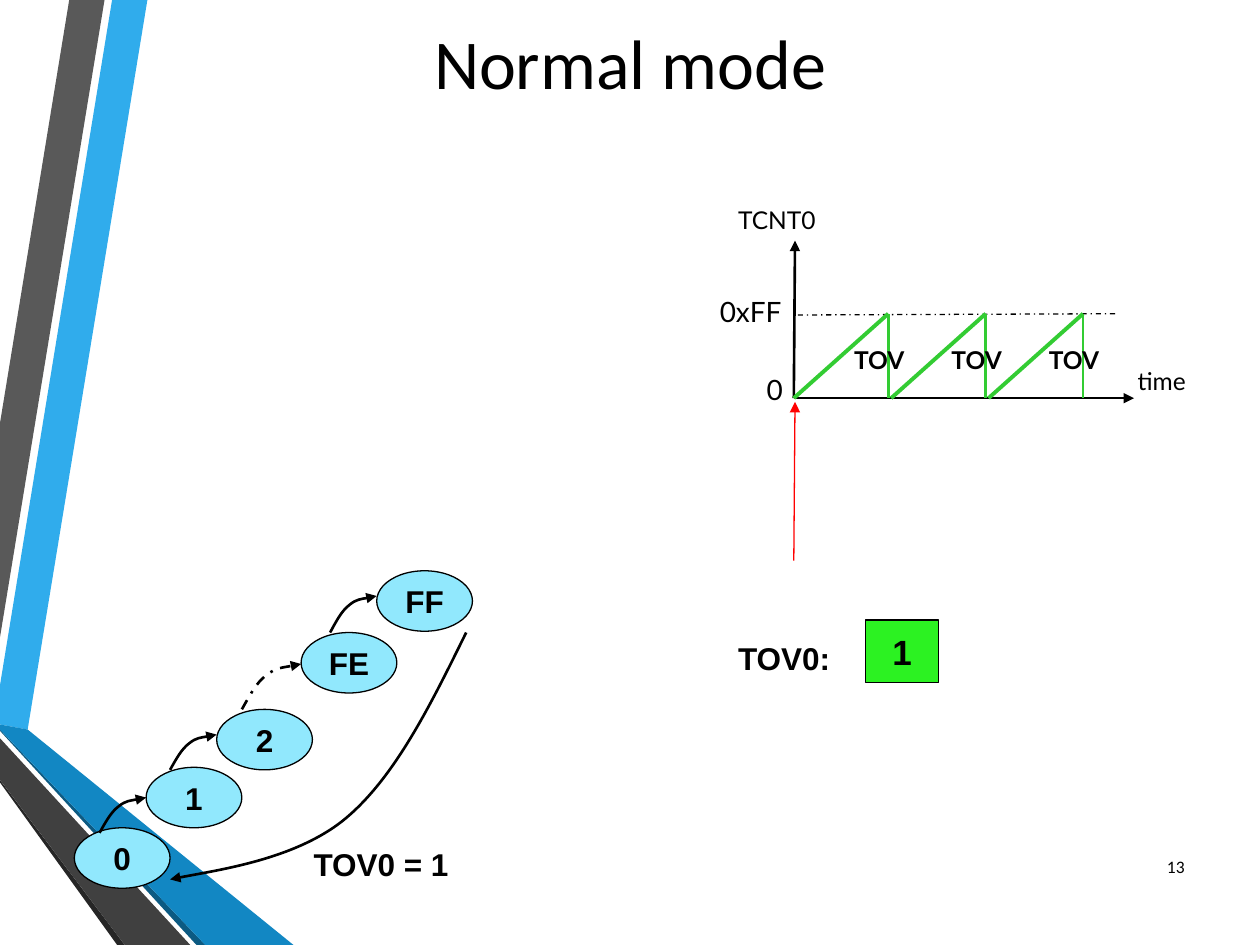
from lxml.etree import SubElement
from pptx import Presentation
from pptx.dml.color import RGBColor
from pptx.enum.dml import MSO_LINE
from pptx.enum.shapes import MSO_CONNECTOR, MSO_SHAPE
from pptx.enum.text import MSO_ANCHOR, PP_ALIGN
from pptx.oxml.ns import qn
from pptx.util import Inches, Pt

BLACK, GREEN, RED = "000000", "33CC33", "FF0000"
LEFT, MID, RIGHT = PP_ALIGN.LEFT, PP_ALIGN.CENTER, PP_ALIGN.RIGHT


def cell(n):
    """Length of n grid columns or rows; the slide has 100 by 75."""
    return Inches(n / 10)


def color(code):
    return RGBColor.from_string(code)


class Sheet:
    def __init__(self, slide):
        self.shapes = slide.shapes

    def letter(self, shape, text, size, font, bold, align, anchor):
        frame = shape.text_frame
        frame.vertical_anchor = anchor
        par = frame.paragraphs[0]
        par.text, par.alignment = text, align
        par.font.size, par.font.name, par.font.bold = Pt(size), font, bold
        par.font.color.rgb = color(BLACK)
        return frame

    def label(self, box, text, size, font="Lato", bold=False, align=LEFT,
              anchor=MSO_ANCHOR.TOP):
        shape = self.shapes.add_textbox(*map(cell, box))
        frame = self.letter(shape, text, size, font, bold, align, anchor)
        frame.word_wrap = True

    def block(self, kind, box, text, size, fill):
        shape = self.shapes.add_shape(kind, *map(cell, box))
        shape.shadow.inherit = False
        shape.fill.solid()
        shape.fill.fore_color.rgb = color(fill)
        self.stroke(shape, BLACK, 0.75)
        frame = self.letter(shape, text, size, "Arial", True, MID,
                            MSO_ANCHOR.MIDDLE)
        frame.word_wrap = False

    def stroke(self, shape, code, width, dash=False, arrow=False):
        shape.line.color.rgb = color(code)
        shape.line.width = Pt(width)
        if dash:
            shape.line.dash_style = MSO_LINE.DASH_DOT
        if arrow:
            ln = shape.element.spPr.find(qn("a:ln"))
            SubElement(ln, qn("a:tailEnd"), type="triangle")

    def line(self, start, end, code=BLACK, width=1.5, **style):
        link = self.shapes.add_connector(
            MSO_CONNECTOR.STRAIGHT, *map(cell, start + end))
        self.stroke(link, code, width, **style)
        SubElement(link.element.spPr, qn("a:effectLst"))

    def trace(self, points, close):
        spots = [(cell(x), cell(y)) for x, y in points]
        pen = self.shapes.build_freeform(*spots[0])
        pen.add_line_segments(spots[1:], close=close)
        shape = pen.convert_to_shape()
        shape.shadow.inherit = False
        return shape

    def patch(self, points, fill):
        shape = self.trace(points, True)
        shape.fill.solid()
        shape.fill.fore_color.rgb = color(fill)
        shape.line.fill.background()

    def curve(self, points, dash=False):
        """Arrow along cubic curves: a start, then three points for each."""
        shape = self.trace(points, False)
        shape.fill.background()
        route = next(shape.element.iter(qn("a:path")))
        steps = route.findall(qn("a:lnTo"))
        for i in range(0, len(steps), 3):
            bend = SubElement(route, qn("a:cubicBezTo"))
            for step in steps[i:i + 3]:
                bend.append(step[0])
                route.remove(step)
        self.stroke(shape, BLACK, 1.5, dash, True)

    def hop(self, start, end, dash=False):
        """Short rising arrow from one state to the next."""
        (x, y), (u, v) = start, end
        parts = [(0, 0), (0.13, 0.3), (0.24, 0.58), (0.41, 0.75),
                 (0.57, 0.92), (0.88, 0.96), (1, 1)]
        self.curve([(x + a * (u - x), y + b * (v - y)) for a, b in parts],
                   dash)


def main():
    deck = Presentation()
    deck.slide_width, deck.slide_height = cell(100), cell(75)
    sheet = Sheet(deck.slides.add_slide(deck.slide_layouts[6]))

    # Ribbons on the left edge
    ribbons = [
        ("30ACEC", [(0, 54.4), (0, 57.5), (2.2, 57.9), (11.7, 0), (8.9, 0)]),
        ("595959", [(8.3, 0), (5.5, 0), (0, 33.6), (0, 50.6)]),
        ("262626", [(0, 61.9), (0, 62.1), (9.3, 75), (9.9, 75)]),
        ("0C5A82", [(0, 57.9), (0, 58), (15.6, 75), (16.3, 75)]),
        ("1287C3", [(0, 57.9), (16.3, 75), (23.3, 75), (2.2, 57.9),
                    (0, 57.5)]),
        ("404040", [(0, 61.9), (9.9, 75), (15.1, 75), (0, 58.6)]),
    ]
    for fill, points in ribbons:
        sheet.patch(points, fill)

    # Title and page number
    sheet.label((0, 0, 100, 9.7), "Normal mode", 40, "Calibri", align=MID,
                anchor=MSO_ANCHOR.MIDDLE)
    sheet.label((90.3, 66.8, 4.7, 4), "13", 10, "Calibri", align=RIGHT,
                anchor=MSO_ANCHOR.MIDDLE)

    # Timer graph: axes, top level and their labels
    left, base, top = 63, 31.6, 24.9
    sheet.line((left, base), (90, base), arrow=True)
    sheet.line((left, base), (left + 0.1, 19.1), arrow=True)
    sheet.line((88.5, top), (left + 0.1, top + 0.1), width=0.75, dash=True)
    sheet.label((53.3, 22.9, 9.7, 3.7), "0xFF", 16, align=RIGHT)
    sheet.label((57.6, 15.8, 9.2, 3.4), "TCNT0", 14)
    sheet.label((58.9, 29.1, 4.2, 3.7), "0", 16, align=RIGHT)
    sheet.label((89.3, 28.6, 9.2, 3.4), "time", 14)

    # Sawtooth, one tooth for each overflow
    for i in range(3):
        x = left + 7.73 * i
        peak = x + 7.5
        sheet.line((x, base), (peak, top), GREEN, 2.25)
        sheet.line((peak, base), (peak, top), GREEN)
        sheet.label((x + 3.8, 26.9, 11.6, 3.4), "TOV", 14, bold=True)

    # Time marker and overflow flag
    sheet.line((left, 44.5), (left + 0.1, 31.9), RED, 0.75, arrow=True)
    sheet.label((57.6, 50.2, 11, 4), "TOV0:", 18, "Arial", True)
    sheet.block(MSO_SHAPE.RECTANGLE, (68.7, 49.2, 5.8, 5), "1", 20, "2CF222")

    # Counter states
    states = [("FE", 23.9, 50.2), ("FF", 29.9, 45.3), ("2", 17.2, 56.3),
              ("1", 11.6, 60.9), ("0", 5.9, 65.7)]
    for text, x, y in states:
        sheet.block(MSO_SHAPE.OVAL, (x, y, 7.6, 4.8), text, 18, "91E8FD")

    # Steps up, then the overflow back to zero
    sheet.hop((7.9, 66.1), (11.6, 63.3))
    sheet.hop((13.5, 61.1), (17.2, 58.3))
    sheet.hop((19.2, 56.3), (23.9, 52.7), dash=True)
    sheet.hop((26.2, 50.2), (29.9, 47.3))
    sheet.curve([(37, 50.2), (34.2, 55.9), (31.4, 61.6), (27.5, 64.9),
                 (23.6, 68.2), (16.3, 69.2), (13.5, 69.8)])
    sheet.label((23.9, 66.6, 13.4, 4), "TOV0 = 1", 18, "Arial", True)

    deck.save("out.pptx")


if __name__ == "__main__":
    main()
